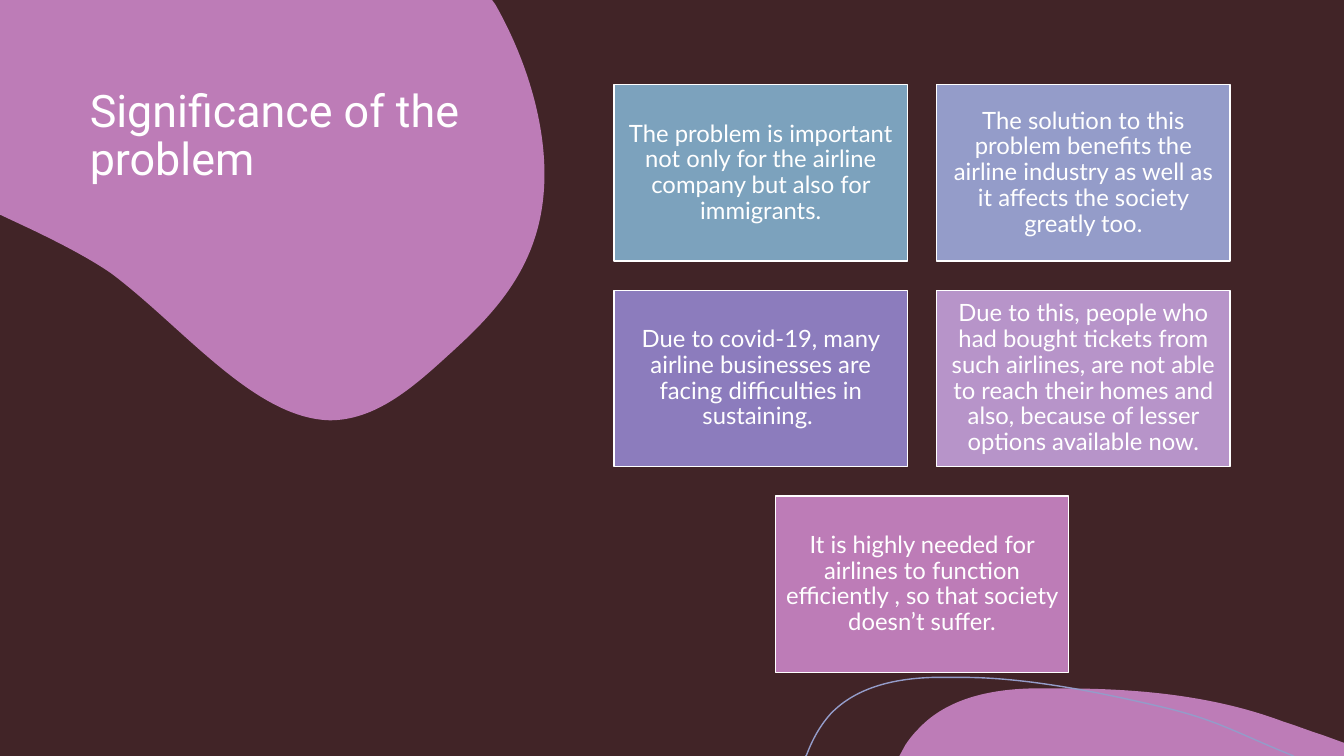
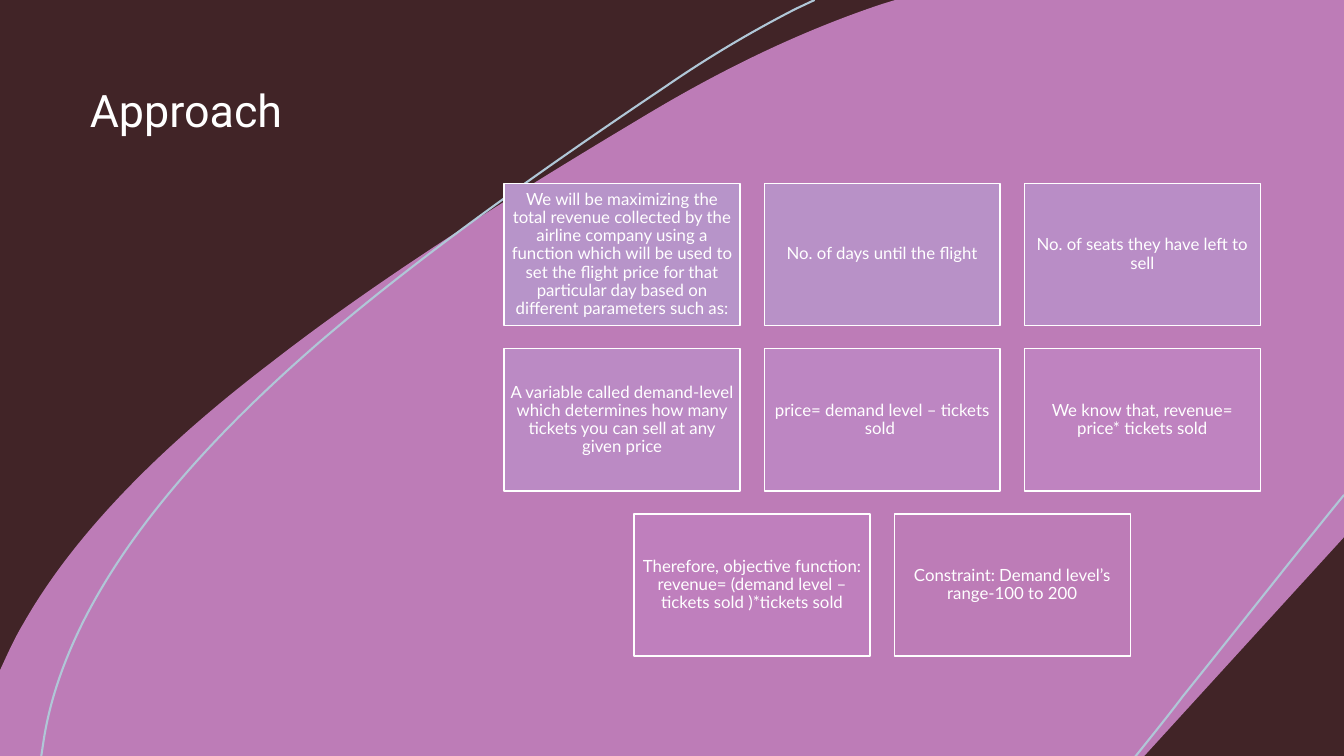
from dataclasses import dataclass

from pptx import Presentation
from pptx.dml.color import RGBColor
from pptx.enum.shapes import MSO_SHAPE
from pptx.enum.text import MSO_ANCHOR, MSO_AUTO_SIZE, PP_ALIGN
from pptx.oxml.ns import qn
from pptx.oxml.xmlchemy import OxmlElement
from pptx.util import Inches, Pt

RECT = MSO_SHAPE.RECTANGLE
TOP, MIDDLE = MSO_ANCHOR.TOP, MSO_ANCHOR.MIDDLE
LEFT, CENTER = PP_ALIGN.LEFT, PP_ALIGN.CENTER
NO_FIT = MSO_AUTO_SIZE.NONE


@dataclass(frozen=True)
class Theme:
    background: str = "412427"
    accent: str = "BD7CB7"
    white: str = "FFFFFF"
    periwinkle: str = "949CC9"
    pale_blue: str = "B0C7D7"
    title_font: str = "Roboto"
    body_font: str = "Lato"
    title_size: int = 32
    spacing: float = 0.9


THEME = Theme()

# Outlines in inches: pairs are straight points, sixes are Bezier curves
CORNER_BLOB = [
    (0, 0), (4.88, 0), (4.91, 0.04),
    (5.23, 0.6, 5.45, 1.31, 5.39, 1.94),
    (5.32, 2.7, 4.86, 3.15, 4.44, 3.53),
    (4.09, 3.85, 3.72, 4.17, 3.27, 4.17),
    (2.52, 4.15, 1.82, 3.25, 1.1, 2.71),
    (0.88, 2.56, 0.61, 2.42, 0.32, 2.28),
    (0, 2.13), (0, 0),
]
BOTTOM_HILL = [
    (10.54, 6.83),
    (11.28, 6.83, 12.04, 6.9, 12.73, 7.16),
    (12.86, 7.2, 12.98, 7.25, 13.11, 7.29),
    (13.33, 7.37), (13.33, 7.5), (8.92, 7.5), (8.98, 7.39),
    (9.02, 7.33, 9.06, 7.28, 9.11, 7.23),
    (9.39, 6.93, 9.82, 6.84, 10.23, 6.83),
    (10.33, 6.83, 10.43, 6.83, 10.54, 6.83),
]
HILL_LINE = [
    (7.99, 7.5), (8, 7.49),
    (8.06, 7.33, 8.14, 7.19, 8.24, 7.08),
    (8.5, 6.81, 8.89, 6.73, 9.26, 6.72),
    (9.55, 6.72),
    (10.22, 6.72, 11, 6.89, 11.55, 7.02),
    (12.09, 7.15, 12.26, 7.27, 12.83, 7.5),
]
DIAGONAL_BAND = [
    (8.88, 0), (13.33, 0), (13.33, 5.33), (11.35, 7.5), (0, 7.5),
    (0, 6.66), (0, 6.65),
    (0.07, 6.5, 0.14, 6.34, 0.23, 6.19),
    (0.74, 5.29, 1.61, 4.42, 2.7, 3.59),
    (3.78, 2.75, 5.07, 1.94, 6.41, 1.14),
    (7.26, 0.63, 8.03, 0.28, 8.75, 0.04),
]
BAND_LINE = [
    (0.41, 7.5), (0.43, 7.37),
    (0.49, 6.96, 0.63, 6.56, 0.83, 6.16),
    (1.31, 5.21, 2.13, 4.3, 3.14, 3.42),
    (4.15, 2.55, 5.35, 1.7, 6.6, 0.86),
    (7.05, 0.55, 7.48, 0.3, 7.89, 0.09),
    (8.08, 0),
]
CORNER_LINE = [
    (13.33, 4.91),
    (12.8, 5.56, 12.27, 6.24, 11.73, 6.91),
    (11.58, 7.11, 11.24, 7.53, 11.24, 7.53),
]

# blobs: outlines; lines: (outline, colour, points); cards: (text, fill)
SLIDES = [
    {
        "title": "Significance of the problem",
        "title_width": 4.21,
        "blobs": [CORNER_BLOB, BOTTOM_HILL],
        "lines": [(HILL_LINE, THEME.periwinkle, 1)],
        "grid": {"left": 6.09, "top": 0.84, "width": 2.91, "height": 1.75,
                 "gap_x": 0.29, "gap_y": 0.29, "columns": 2,
                 "size": 17, "inset": 0.07},
        "cards": [
            ("The problem is important not only for the airline company but "
             "also for immigrants.", "7CA2BD"),
            ("The solution to this problem benefits the airline industry as "
             "well as it affects the society greatly too.", "949CC9"),
            ("Due to covid-19, many airline businesses are facing "
             "difficulties in sustaining. ", "8C7CBD"),
            ("Due to this, people who had bought tickets from such airlines, "
             "are not able to reach their homes and also, because of lesser "
             "options available now.", "B794C9"),
            ("It is highly needed for airlines to function efficiently , so "
             "that society doesn’t suffer.", "BD7CB7"),
        ],
    },
    {
        "title": "Approach",
        "title_width": 3.33,
        "blobs": [DIAGONAL_BAND],
        "lines": [(BAND_LINE, THEME.pale_blue, 1.5),
                  (CORNER_LINE, THEME.pale_blue, 1.5)],
        "grid": {"left": 5, "top": 1.82, "width": 2.34, "height": 1.41,
                 "gap_x": 0.24, "gap_y": 0.23, "columns": 3,
                 "size": 12, "inset": 0.05},
        "cards": [
            ("We will be maximizing the total revenue collected by the "
             "airline company using a function which will be used to set the "
             "flight price for that particular day based on different "
             "parameters such as:", "B794C9"),
            ("No. of days until the flight", "B891C7"),
            ("No. of seats they have left to sell", "B98DC6"),
            ("A variable called demand-level which determines how many "
             "tickets you can sell at any given price", "BB8AC4"),
            ("price= demand level – tickets sold ", "BD86C2"),
            ("We know that, revenue= price* tickets sold", "BF83C0"),
            ("Therefore, objective function: revenue= (demand level – "
             "tickets sold )*tickets sold", "BF7FBD"),
            ("Constraint: Demand level’s range-100 to 200", "BD7CB7"),
        ],
    },
]


def rgb(value):
    return RGBColor.from_string(value)


def paint(sp, fill):
    sp.shadow.inherit = False
    sp.fill.solid()
    sp.fill.fore_color.rgb = rgb(fill)


def add_outline(s, outline, close):
    """Build a freeform on the end points, then bend the curved parts."""
    start, *rest = [(Inches(x), Inches(y)) for *_, x, y in outline]
    builder = s.shapes.build_freeform(*start)
    builder.add_line_segments(rest, close=close)
    sp = builder.convert_to_shape()
    sp.shadow.inherit = False
    segments = list(sp.element.iter(qn("a:lnTo")))
    for segment, part in zip(segments, outline[1:]):
        if len(part) == 2:
            continue
        curve = OxmlElement("a:cubicBezTo")
        for x, y in zip(part[::2], part[1::2]):
            pt = OxmlElement("a:pt")
            pt.set("x", str(Inches(x) - sp.left))
            pt.set("y", str(Inches(y) - sp.top))
            curve.append(pt)
        segment.getparent().replace(segment, curve)
    return sp


def add_blob(s, outline):
    sp = add_outline(s, outline, True)
    paint(sp, THEME.accent)
    sp.line.fill.background()


def add_curve(s, outline, colour, weight):
    sp = add_outline(s, outline, False)
    sp.fill.background()
    sp.line.color.rgb = rgb(colour)
    sp.line.width = Pt(weight)


def set_text(sp, text, font, size, align, anchor):
    tf = sp.text_frame
    tf.text = text
    tf.word_wrap = True
    tf.auto_size = NO_FIT
    tf.vertical_anchor = anchor
    p = tf.paragraphs[0]
    p.alignment = align
    p.line_spacing = THEME.spacing
    p.font.name = font
    p.font.size = Pt(size)
    p.font.color.rgb = rgb(THEME.white)
    return tf


def place_title(s, text, width):
    title = s.shapes.title
    title.left, title.top = Inches(0.79), Inches(0.83)
    title.width, title.height = Inches(width), Inches(2.5)
    set_text(title, text, THEME.title_font, THEME.title_size, LEFT, TOP)
    # Bring the title in front of the blobs
    title.element.getparent().append(title.element)


def add_cards(s, cards, left, top, width, height, gap_x, gap_y, columns,
              size, inset):
    """Lay cards out in rows; a short last row is centred."""
    for i, (text, fill) in enumerate(cards):
        row, column = divmod(i, columns)
        in_row = min(columns, len(cards) - row * columns)
        column += (columns - in_row) / 2
        sp = s.shapes.add_shape(
            RECT, Inches(left + column * (width + gap_x)),
            Inches(top + row * (height + gap_y)),
            Inches(width), Inches(height))
        paint(sp, fill)
        sp.line.color.rgb = rgb(THEME.white)
        sp.line.width = Pt(1)
        tf = set_text(sp, text, THEME.body_font, size, CENTER, MIDDLE)
        tf.margin_left = tf.margin_right = Inches(inset)
        tf.margin_top = tf.margin_bottom = Inches(inset)


prs = Presentation()
prs.slide_width, prs.slide_height = Inches(13.33), Inches(7.5)

# Shared background
master_fill = prs.slide_master.background.fill
master_fill.solid()
master_fill.fore_color.rgb = rgb(THEME.background)

for content in SLIDES:
    s = prs.slides.add_slide(prs.slide_layouts[5])
    # Full-slide panel behind the artwork
    panel = s.shapes.add_shape(RECT, 0, 0, prs.slide_width, prs.slide_height)
    paint(panel, THEME.background)
    panel.line.fill.background()
    for outline in content["blobs"]:
        add_blob(s, outline)
    for outline, colour, weight in content["lines"]:
        add_curve(s, outline, colour, weight)
    place_title(s, content["title"], content["title_width"])
    add_cards(s, content["cards"], **content["grid"])

prs.save("out.pptx")
